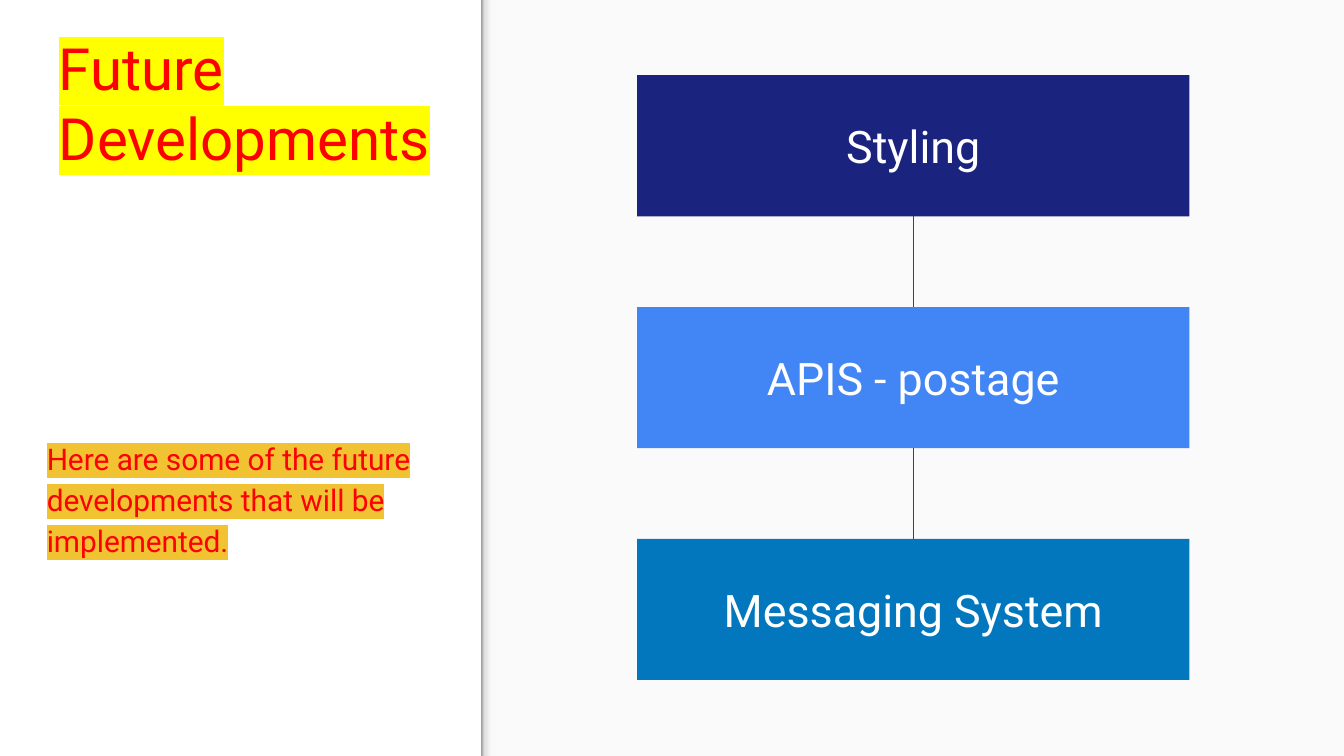
import lxml.etree
import pptx
import pptx.dml.color
import pptx.enum.shapes
import pptx.enum.text
import pptx.oxml.ns
import pptx.util
from dataclasses import dataclass

Inches = pptx.util.Inches
qn = pptx.oxml.ns.qn


@dataclass(frozen=True)
class Theme:
    font: str = "Roboto"
    title_size: float = 31.2
    body_size: float = 16
    step_size: float = 24
    panel: str = "FAFAFA"
    accent: str = "FF0000"
    title_highlight: str = "FFFF00"
    body_highlight: str = "F1C232"
    step_text: str = "FFFFFF"
    link: str = "424242"
    step_fills: tuple = ("1A237E", "4285F4", "0277BD")
    edge_stops: tuple = ((0, "999999"), (20, "DEDEDE"), (64, "F9F9F9"), (100, "F9F9F9"))


theme = Theme()


def add_run(frame, text, size, color, highlight=None):
    """Write one run into the first paragraph and return that paragraph."""
    frame.word_wrap = True
    frame.margin_left = frame.margin_right = Inches(0.1)
    frame.margin_top = frame.margin_bottom = Inches(0.1)
    paragraph = frame.paragraphs[0]
    run = paragraph.add_run()
    run.text = text
    run.font.size = pptx.util.Pt(size)
    run.font.color.rgb = pptx.dml.color.RGBColor.from_string(color)
    if highlight:
        mark = lxml.etree.SubElement(run.font._element, qn("a:highlight"))
        lxml.etree.SubElement(mark, qn("a:srgbClr"), val=highlight)
    run.font.name = theme.font
    return paragraph


def add_block(left, top, width, height, color):
    """Add a borderless, shadowless filled rectangle."""
    block = slide.shapes.add_shape(
        pptx.enum.shapes.MSO_SHAPE.RECTANGLE,
        Inches(left), Inches(top), Inches(width), Inches(height))
    block.shadow.inherit = False
    block.fill.solid()
    block.fill.fore_color.rgb = pptx.dml.color.RGBColor.from_string(color)
    block.line.fill.background()
    return block


# A 16:9 slide
slide_width = 10
slide_height = slide_width * 9 / 16
deck = pptx.Presentation()
deck.slide_width = Inches(slide_width)
deck.slide_height = Inches(slide_height)
slide = deck.slides.add_slide(deck.slide_layouts[6])

# Right panel, with a soft shaded edge
panel_left = 3.58
add_block(panel_left, 0, slide_width - panel_left, slide_height, theme.panel)
panel_edge = add_block(panel_left, 0, 0.12, slide_height, theme.panel)
panel_edge.fill.gradient()
panel_edge.fill.gradient_angle = 0
stop_list = panel_edge._element.spPr.find(".//" + qn("a:gsLst"))
for old_stop in list(stop_list):
    stop_list.remove(old_stop)
for percent, color in theme.edge_stops:
    stop = lxml.etree.SubElement(stop_list, qn("a:gs"), pos=str(percent * 1000))
    lxml.etree.SubElement(stop, qn("a:srgbClr"), val=color)

# Heading
heading = slide.shapes.add_textbox(
    Inches(0.34), Inches(0.34), Inches(3.07), Inches(1.04)).text_frame
heading.vertical_anchor = pptx.enum.text.MSO_ANCHOR.BOTTOM
add_run(heading, "Future Developments", theme.title_size, theme.accent, theme.title_highlight)

# Introduction
intro = slide.shapes.add_textbox(
    Inches(0.25), Inches(3.14), Inches(3.07), Inches(1.33)).text_frame
intro_paragraph = add_run(
    intro, "Here are some of the future developments that will be implemented.",
    theme.body_size, theme.accent, theme.body_highlight)
intro_paragraph.line_spacing = 1.15
intro_paragraph.space_after = pptx.util.Pt(12)

# Planned developments, evenly spaced down the panel
first_top, last_top = 0.56, 4.01
developments = ["Styling", "APIS - postage", "Messaging System"]
pitch = (last_top - first_top) / (len(developments) - 1)
steps = []
for index, (label, color) in enumerate(zip(developments, theme.step_fills)):
    step = add_block(4.74, first_top + index * pitch, 4.11, 1.05, color)
    step.text_frame.vertical_anchor = pptx.enum.text.MSO_ANCHOR.MIDDLE
    label_paragraph = add_run(step.text_frame, label, theme.step_size, theme.step_text)
    label_paragraph.alignment = pptx.enum.text.PP_ALIGN.CENTER
    steps.append(step)

# Links from each development to the next
for upper, lower in zip(steps, steps[1:]):
    link = slide.shapes.add_connector(pptx.enum.shapes.MSO_CONNECTOR.STRAIGHT, 0, 0, 0, 0)
    link.begin_connect(upper, 2)
    link.end_connect(lower, 0)
    link.line.color.rgb = pptx.dml.color.RGBColor.from_string(theme.link)
    link.line.width = pptx.util.Pt(0.75)
    lxml.etree.SubElement(link._element.spPr, qn("a:effectLst"))

deck.save("out.pptx")
